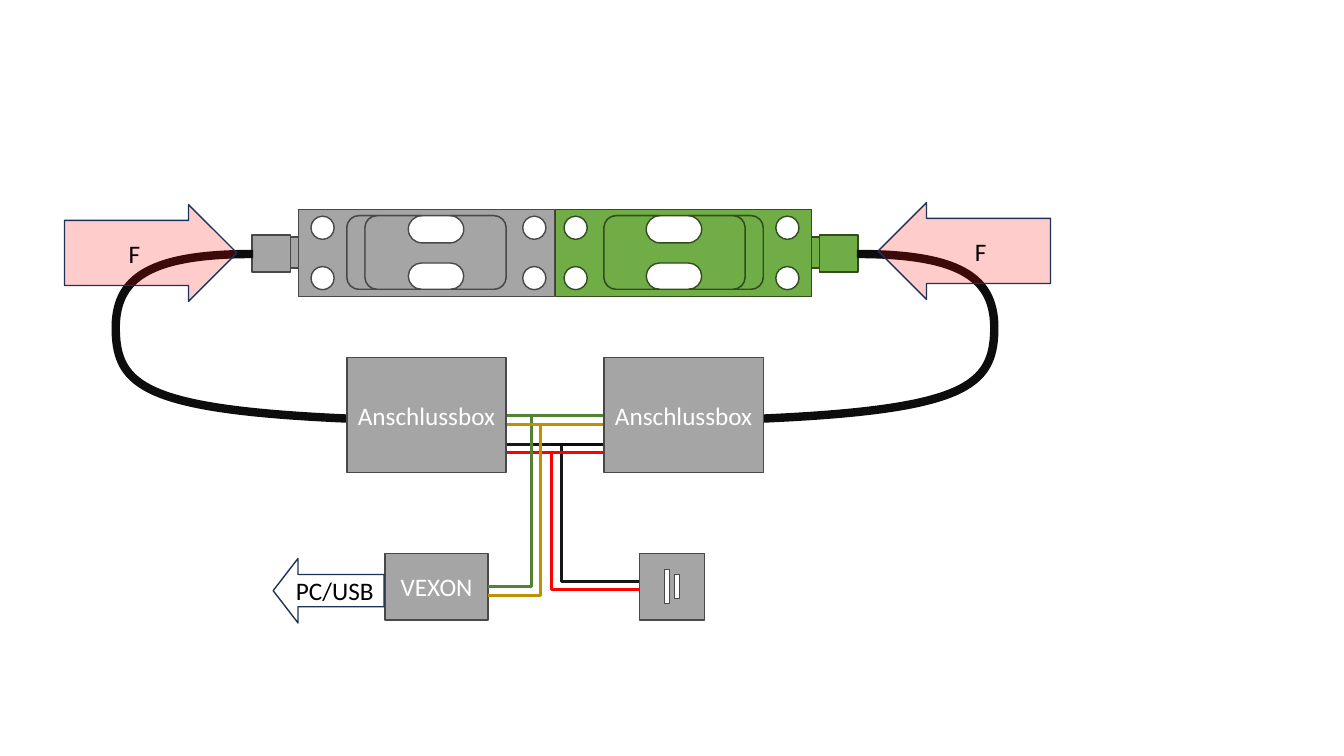
from dataclasses import dataclass

from lxml.etree import SubElement
from pptx import Presentation
from pptx.dml.color import RGBColor
from pptx.enum.shapes import MSO_CONNECTOR as Connector, MSO_SHAPE as Preset
from pptx.enum.text import MSO_ANCHOR as Anchor, PP_ALIGN as Align
from pptx.oxml.ns import qn
from pptx.util import Inches, Pt

Point = tuple[float, float]
Step = tuple[Point, ...]  # one point is a straight step, three are a Bézier curve
Contour = list[Step]


@dataclass(frozen=True)
class Theme:
    font: str = "Calibri"
    text_size: float = 18
    outline: float = 1
    wire: float = 2.25
    cable: float = 6
    grey: str = "A5A5A5"
    grey_edge: str = "484848"
    green: str = "70AD47"
    green_edge: str = "314C1F"
    arrow_edge: str = "1E3256"
    force: str = "FF0000"
    force_alpha: int = 20
    cable_black: str = "0D0D0D"
    supply_black: str = "181717"
    supply_red: str = "FF0000"
    signal_green: str = "548235"
    signal_gold: str = "BF9000"
    light_text: str = "FFFFFF"
    dark_text: str = "000000"


THEME = Theme()
MIRROR_AXIS = 5.505
ROUNDNESS = 0.55


@dataclass(frozen=True)
class Box:
    left: float
    top: float
    width: float
    height: float
    label: str = ""


@dataclass(frozen=True)
class Arrow:
    box: Box
    adjustments: tuple[float, float]
    flipped: bool = False
    fill: str | None = None


@dataclass(frozen=True)
class Wire:
    start: Point
    end: Point
    color: str
    bend: float | None = None


CONVERTER = Box(3.82, 5.49, 1.02, 0.66, "VEXON")
JUNCTION_BOXES = [Box(left, 3.55, 1.58, 1.14, "Anschlussbox") for left in (3.44, 5.99)]
PLUGS = [Box(8.05, 2.35, 0.45, 0.31), Box(8.13, 2.33, 0.38, 0.37)]
WIRES = [
    Wire((5.02, 4.41), (6.34, 5.77), THEME.supply_black, 5.57),
    Wire((5.02, 4.49), (6.34, 5.85), THEME.supply_red, 5.47),
    Wire((5.47, 4.49), (6, 4.49), THEME.supply_red),
    Wire((5.47, 4.41), (6, 4.41), THEME.cable_black),
    Wire((5.02, 4.12), (4.84, 5.82), THEME.signal_green, 5.27),
    Wire((5.02, 4.21), (4.84, 5.91), THEME.signal_gold, 5.36),
    Wire((5.37, 4.21), (6.24, 4.21), THEME.signal_gold),
    Wire((5.25, 4.12), (6.12, 4.12), THEME.signal_green),
]
USB_ARROW = Arrow(Box(2.71, 5.54, 1.1, 0.64, "PC/USB"), (0.5, 0.385), flipped=True)
FORCE_ARROWS = [
    Arrow(Box(0.64, 2.03, 1.71, 0.96, "F"), (0.674, 0.5), fill=THEME.force),
    Arrow(Box(8.71, 2.01, 1.71, 0.96, "F"), (0.674, 0.5), flipped=True, fill=THEME.force),
]


def rectangle(left: float, top: float, right: float, bottom: float) -> Contour:
    return [((left, top),), ((right, top),), ((right, bottom),), ((left, bottom),)]


def corner(start: Point, tip: Point, end: Point) -> Step:
    def toward_tip(point: Point) -> Point:
        return tuple(a + ROUNDNESS * (b - a) for a, b in zip(point, tip))
    return toward_tip(start), toward_tip(end), end


def rounded_side(x: float, start: float, end: float, radius: float, side: int) -> Contour:
    """Runs along a vertical edge between two round corners; side is 1 for right, -1 for left."""
    inner = x - side * radius
    rise = radius if end > start else -radius
    return [((inner, start),), corner((inner, start), (x, start), (x, start + rise)),
            ((x, end - rise),), corner((x, end - rise), (x, end), (inner, end))]


def rounded(left: float, top: float, right: float, bottom: float, radius: float) -> Contour:
    return rounded_side(right, top, bottom, radius, 1) + rounded_side(left, bottom, top, radius, -1)


def mirror(contour: Contour) -> Contour:
    return [tuple((2 * MIRROR_AXIS - x, y) for x, y in step) for step in contour]


def without_empty_steps(contour: Contour) -> Contour:
    kept = contour[:1]
    for step in contour[1:]:
        if max(abs(a - b) for a, b in zip(step[0], kept[-1][-1])) > 0.001:
            kept.append(step)
    return kept


def add_outline(shapes, contours: list[Contour], closed: bool = True):
    """Joins the contours into one freeform; inner contours become holes."""
    contours = [without_empty_steps(contour) for contour in contours]
    builder = None
    for contour in contours:
        start, *points = [(Inches(x), Inches(y)) for step in contour for x, y in step]
        if builder is None:
            builder = shapes.build_freeform(*start)
        else:
            builder.move_to(*start)
        builder.add_line_segments(points, close=closed)
    shape = builder.convert_to_shape()
    segments = iter(list(shape.element.iter(qn("a:lnTo"))))
    for step in (step for contour in contours for step in contour[1:]):
        first, *others = [next(segments) for _ in step]
        if others:
            first.tag = qn("a:cubicBezTo")
            for segment in others:
                first.append(segment[0])
                segment.getparent().remove(segment)
    return shape


def paint(shape, fill: str | None, edge: str, width: float = THEME.outline) -> None:
    shape.shadow.inherit = False
    if fill:
        shape.fill.solid()
        shape.fill.fore_color.rgb = RGBColor.from_string(fill)
    else:
        shape.fill.background()
    shape.line.color.rgb = RGBColor.from_string(edge)
    shape.line.width = Pt(width)


def add_preset(shapes, preset: Preset, box: Box):
    return shapes.add_shape(preset, *map(Inches, (box.left, box.top, box.width, box.height)))


def add_load_cell(slide, fill: str, edge: str, mirrored: bool) -> None:
    shapes = slide.shapes.add_group_shape().shapes
    holes = [rounded(x - 0.115, y - 0.115, x + 0.115, y + 0.115, 0.115)
             for y in (2.26, 2.76) for x in (5.71, 7.81)]
    body = [*holes, rounded(5.99, 2.14, 7.57, 2.87, 0.12), rectangle(5.51, 2.08, 8.05, 2.94)]
    band = rounded_side(7.57, 2.14, 2.87, 0.12, 1) + rounded_side(7.39, 2.87, 2.14, 0.12, 1)
    pocket = (rounded_side(6.41, 2.14, 2.41, 0.135, -1) + rounded_side(6.96, 2.41, 2.14, 0.135, 1)
              + rounded_side(7.39, 2.14, 2.87, 0.12, 1)
              + rounded_side(6.96, 2.87, 2.61, 0.13, 1) + rounded_side(6.41, 2.61, 2.87, 0.13, -1)
              + rounded_side(5.99, 2.87, 2.14, 0.12, -1))

    def add_part(contours: list[Contour]) -> None:
        placed = [mirror(contour) for contour in contours] if mirrored else contours
        paint(add_outline(shapes, placed), fill, edge)

    add_part(body)
    for plug in PLUGS:
        shape = add_preset(shapes, Preset.RECTANGLE, plug)
        if mirrored:
            shape.left = Inches(2 * MIRROR_AXIS - plug.left - plug.width)
        paint(shape, fill, edge)
    add_part([band])
    add_part([pocket])


def add_labelled(slide, preset: Preset, box: Box, text_color: str):
    shape = add_preset(slide.shapes, preset, box)
    frame = shape.text_frame
    frame.text = box.label
    frame.margin_left = frame.margin_right = 0
    frame.vertical_anchor = Anchor.MIDDLE
    paragraph = frame.paragraphs[0]
    paragraph.alignment = Align.CENTER
    font = paragraph.runs[0].font
    font.name, font.size = THEME.font, Pt(THEME.text_size)
    font.color.rgb = RGBColor.from_string(text_color)
    return shape


def add_box(slide, box: Box) -> None:
    paint(add_labelled(slide, Preset.RECTANGLE, box, THEME.light_text), THEME.grey, THEME.grey_edge)


def add_arrow(slide, arrow: Arrow) -> None:
    shape = add_labelled(slide, Preset.RIGHT_ARROW, arrow.box, THEME.dark_text)
    shape.adjustments[0], shape.adjustments[1] = arrow.adjustments
    paint(shape, arrow.fill, THEME.arrow_edge)
    properties = shape.element.spPr
    if arrow.flipped:
        properties.find(qn("a:xfrm")).set("flipH", "1")
    if arrow.fill:
        color = properties.find(qn("a:solidFill"))[0]
        SubElement(color, qn("a:alpha")).set("val", str(THEME.force_alpha * 1000))


def add_wire(slide, wire: Wire) -> None:
    kind = Connector.STRAIGHT if wire.bend is None else Connector.ELBOW
    connector = slide.shapes.add_connector(kind, *map(Inches, wire.start + wire.end))
    connector.line.color.rgb = RGBColor.from_string(wire.color)
    connector.line.width = Pt(THEME.wire)
    properties = connector.element.spPr
    SubElement(properties, qn("a:effectLst"))
    if wire.bend is not None:
        share = (wire.bend - wire.start[0]) / (wire.end[0] - wire.start[0])
        guide = SubElement(properties.find(qn("a:prstGeom")).find(qn("a:avLst")), qn("a:gd"))
        guide.set("name", "adj1")
        guide.set("fmla", f"val {round(share * 100000)}")


def main() -> None:
    presentation = Presentation()
    presentation.slide_width, presentation.slide_height = Inches(13.33), Inches(7.5)
    slide = presentation.slides.add_slide(presentation.slide_layouts[6])
    add_load_cell(slide, THEME.green, THEME.green_edge, mirrored=False)
    power_supply = [rectangle(6.69, 5.7, 6.74, 5.94), rectangle(6.59, 5.65, 6.64, 5.99),
                    rectangle(6.34, 5.49, 6.99, 6.15)]
    paint(add_outline(slide.shapes, power_supply), THEME.grey, THEME.grey_edge)
    add_load_cell(slide, THEME.grey, THEME.grey_edge, mirrored=True)
    cable = [((2.51, 2.52),), ((1.4, 2.52), (1.12, 2.8), (1.15, 3.33)),
             ((1.18, 3.86), (1.53, 4.08), (3.62, 4.16))]
    for contour in (cable, mirror(cable)):
        paint(add_outline(slide.shapes, [contour], closed=False), None, THEME.cable_black, THEME.cable)
    add_box(slide, CONVERTER)
    for wire in WIRES:
        add_wire(slide, wire)
    left_box, right_box = JUNCTION_BOXES
    add_box(slide, left_box)
    add_arrow(slide, USB_ARROW)
    add_box(slide, right_box)
    for arrow in FORCE_ARROWS:
        add_arrow(slide, arrow)
    presentation.save("out.pptx")


if __name__ == "__main__":
    main()
